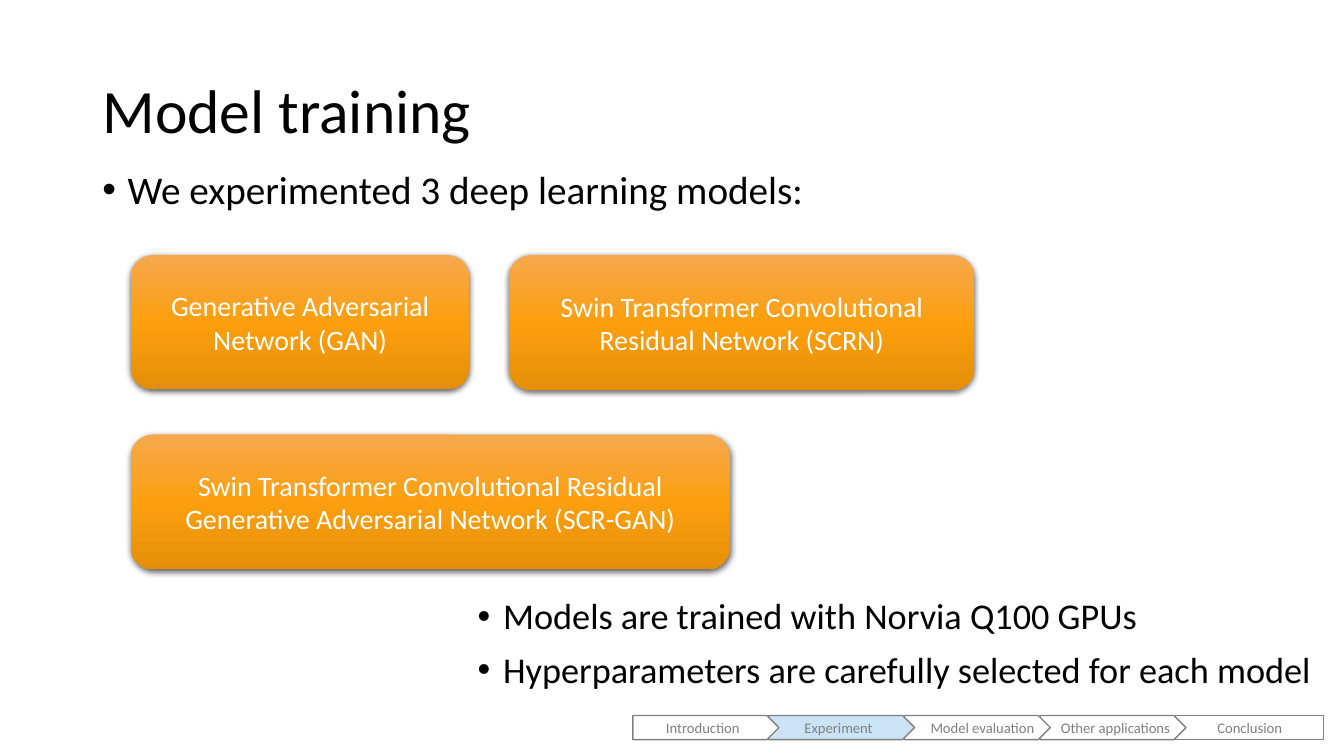
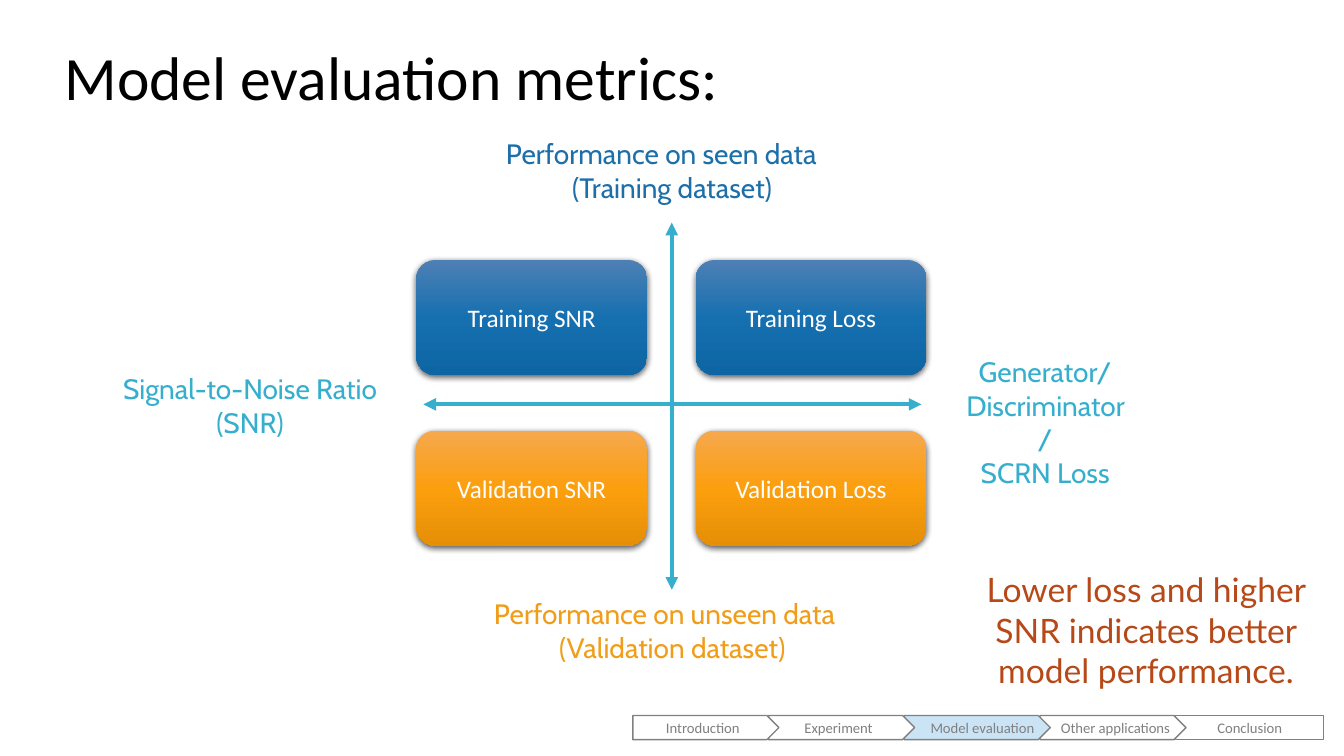
from copy import deepcopy

from lxml.etree import SubElement
from pptx import Presentation
from pptx.dml.color import RGBColor
from pptx.enum.shapes import MSO_CONNECTOR as Link, MSO_SHAPE as Form
from pptx.enum.text import MSO_ANCHOR as Anchor, MSO_AUTO_SIZE as Fit, PP_ALIGN as Align
from pptx.oxml.ns import qn
from pptx.util import Cm, Pt

HUES = {"black": "000000", "white": "FFFFFF", "gray": "808080", "pale": "CAE4F6",
        "teal": "36AFCE", "blue": "1D6FA9", "gold": "F19D19", "rust": "B74919"}
BLENDS = {"orange": ("F5A84E", "FC9F0E", "E58F07"),
          "blue": ("4E80B5", "1670B0", "0D65A3")}

# Places are left, top, width, height in centimetres.
TITLE = {"size": 44, "hue": "black", "lead": 0.9}
BODY = {"hue": "black", "lead": 0.9, "gap": 10, "bullet": True}
AXIS = {"size": 20, "name": "Cabin", "align": Align.CENTER}

STEPS = [("Introduction", Align.CENTER), ("Experiment", Align.CENTER),
         ("Model evaluation", Align.RIGHT), ("Other applications", Align.RIGHT),
         ("Conclusion", Align.CENTER)]

LISTS = [
    ((11.79, 14.96, 22.02, 3.38), 25.9,
     ["Models are trained with Norvia Q100 GPUs",
      "Hyperparameters are carefully selected for each model"]),
    ((2.33, 4.17, 29.21, 3.38), 28, ["We experimented 3 deep learning models:"]),
]
MODELS = [
    ((3.3, 6.43, 8.53, 3.38), "Generative Adversarial Network (GAN)"),
    ((12.83, 6.43, 11.73, 3.4), "Swin Transformer Convolutional Residual Network (SCRN)"),
    ((3.3, 10.95, 15.09, 3.4),
     "Swin Transformer Convolutional Residual Generative Adversarial Network (SCR-GAN)"),
]
AXES = [((16.93, 5.61), (16.93, 14.86)), ((23.22, 10.19), (10.67, 10.19))]
ENDS = [
    ((12.75, 3.45, 8.38, 1.7), "blue", Align.LEFT,
     ["Performance on seen data", "(Training dataset)"]),
    ((12.45, 15.04, 8.99, 1.7), "gold", Align.LEFT,
     ["Performance on unseen data", "(Validation dataset)"]),
    ((24.18, 8.94, 4.32, 2.57), "teal", Align.CENTER,
     ["Generator/", "Discriminator/", "SCRN Loss"]),
    ((2.85, 9.37, 6.91, 1.7), "teal", Align.CENTER, ["Signal-to-Noise Ratio", "(SNR)"]),
]
GRID = [("blue", ["Training SNR", "Training Loss"]),
        ("orange", ["Validation SNR", "Validation Loss"])]
NOTE = "Lower loss and higher SNR indicates better model performance."


def rgb(hue):
    return RGBColor.from_string(HUES.get(hue, hue))


def apply(item, **vals):
    for key, val in vals.items():
        setattr(item, key, val)


def write(frame, lines, size, hue, name="Calibri", align=Align.LEFT, lead=1.0,
          gap=0, bullet=False, first=None):
    """Fill a text frame; first overrides the alignment of the opening line."""
    for i, line in enumerate(lines):
        par = frame.add_paragraph() if i else frame.paragraphs[0]
        if bullet:
            props = par._p.get_or_add_pPr()
            props.set("marL", str(Cm(0.64)))
            props.set("indent", str(-Cm(0.64)))
            SubElement(props, qn("a:buFont"), typeface="Arial")
            SubElement(props, qn("a:buChar"), char="•")
        side = align if i or first is None else first
        apply(par, alignment=side, line_spacing=lead, space_before=Pt(gap if i else 0))
        run = par.add_run()
        run.text = line
        apply(run.font, size=Pt(size), name=name)
        run.font.color.rgb = rgb(hue)


def start(deck, text, left, top):
    slide = deck.slides.add_slide(deck.slide_layouts[5])
    title = slide.shapes.title
    apply(title, left=Cm(left), top=Cm(top), width=Cm(29.21), height=Cm(3.68))
    apply(title.text_frame, vertical_anchor=Anchor.MIDDLE, word_wrap=True,
          auto_size=Fit.NONE)
    write(title.text_frame, [text], **TITLE)
    return slide


def label(slide, at, lines, inset=None, **look):
    frame = slide.shapes.add_textbox(*map(Cm, at)).text_frame
    frame.word_wrap = True
    if inset is not None:
        apply(frame, **{f"margin_{side}": Cm(inset)
                        for side in ("left", "top", "right", "bottom")})
    write(frame, lines, **look)


def block(slide, form, at, text, **look):
    shape = slide.shapes.add_shape(form, *map(Cm, at))
    shape.shadow.inherit = False
    apply(shape.text_frame, vertical_anchor=Anchor.MIDDLE, word_wrap=True)
    write(shape.text_frame, [text], **look)
    return shape


def card(slide, at, text, blend, size):
    """Rounded box with a three-stop gradient and a soft shadow below."""
    shape = block(slide, Form.ROUNDED_RECTANGLE, at, text,
                  size=size, hue="white", align=Align.CENTER)
    shape.line.fill.background()
    fill, props = shape.fill, shape._element.spPr
    fill.gradient()
    fill.gradient_angle = 270
    stop = props.find(".//" + qn("a:gs"))
    stop.addnext(deepcopy(stop))
    for i, (stop, hue) in enumerate(zip(fill.gradient_stops, BLENDS[blend])):
        stop.position = i / 2
        stop.color.rgb = rgb(hue)
    glow = SubElement(props.find(qn("a:effectLst")), qn("a:outerShdw"),
                      blurRad=str(Pt(4.5)), dist=str(Pt(1.5)),
                      dir="5400000", rotWithShape="0")
    tint = SubElement(glow, qn("a:srgbClr"), val=HUES["black"])
    SubElement(tint, qn("a:alpha"), val="63000")


def arrow(slide, tail, tip):
    line = slide.shapes.add_connector(Link.STRAIGHT, *map(Cm, tail + tip))
    line.line.width = Pt(3)
    line.line.color.rgb = rgb("teal")
    for end in ("a:headEnd", "a:tailEnd"):
        SubElement(line.line._get_or_add_ln(), qn(end), type="triangle")
    SubElement(line._element.spPr, qn("a:effectLst"))


def steps(slide, now):
    """Progress bar, laid from the last step so that each tip overlaps the next."""
    last = len(STEPS) - 1
    for i, (text, align) in reversed(list(enumerate(STEPS))):
        form, wide = (Form.RECTANGLE, 3.73) if i == last else (Form.PENTAGON, 3.68)
        shape = block(slide, form, (15.95 + 3.42 * i, 18.03, wide, 0.61), text,
                      size=10.5, hue="gray", align=align)
        shape.fill.solid()
        shape.fill.fore_color.rgb = rgb("pale" if text == now else "white")
        shape.line.color.rgb = rgb("gray")
        shape.line.width = Pt(1)


def training(deck):
    slide = start(deck, "Model training", 2.33, 1.02)
    for at, size, lines in LISTS:
        label(slide, at, lines, size=size, **BODY)
    for at, text in MODELS:
        card(slide, at, text, "orange", 20)
    steps(slide, "Experiment")


def metrics(deck):
    slide = start(deck, "Model evaluation metrics:", 1.37, 0.18)
    for tail, tip in AXES:
        arrow(slide, tail, tip)
    for at, hue, first, lines in ENDS:
        label(slide, at, lines, inset=0, hue=hue, first=first, **AXIS)
    for row, (blend, names) in enumerate(GRID):
        for col, name in enumerate(names):
            at = (10.49 + 7.04 * col, 6.55 + 4.3 * row, 5.82, 2.9)
            card(slide, at, name, blend, 18)
    label(slide, (24.18, 14.22, 9.4, 3.33), [NOTE], size=24, hue="rust",
          name="Lato", align=Align.CENTER)
    steps(slide, "Model evaluation")


def main():
    deck = Presentation()
    apply(deck, slide_width=Cm(33.87), slide_height=Cm(19.05))
    training(deck)
    metrics(deck)
    deck.save("out.pptx")


if __name__ == "__main__":
    main()
